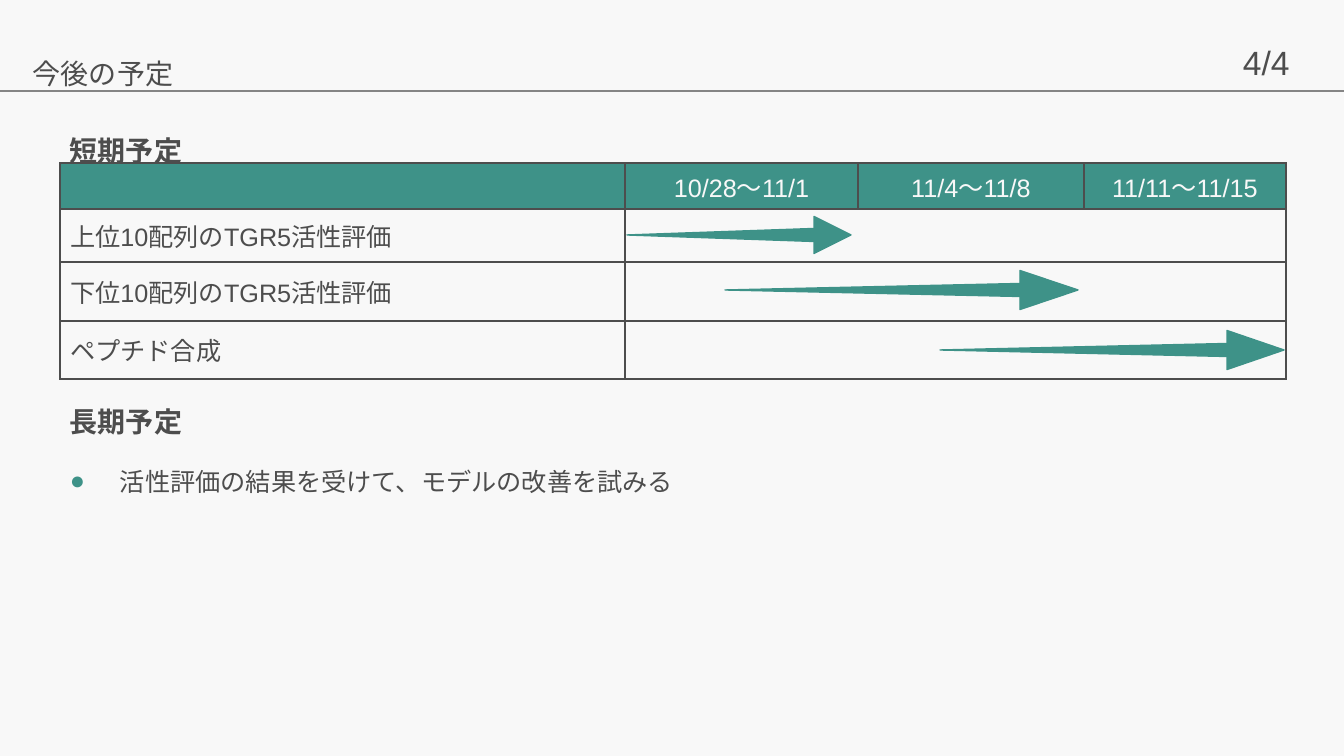
from lxml.etree import SubElement as Sub
from pptx import Presentation
from pptx.dml.color import RGBColor as Rgb
from pptx.enum.lang import MSO_LANGUAGE_ID as Lang
from pptx.enum.shapes import MSO_CONNECTOR as Con, MSO_SHAPE as Kind
from pptx.enum.text import MSO_ANCHOR as Anchor, PP_ALIGN as Align
from pptx.oxml.ns import qn
from pptx.util import Pt

WIDE, HIGH = 1344, 756
SCALE = 12192000 / WIDE
HUES = {"paper": "F8F8F8", "ink": "4D4D4D", "teal": "3E9288", "rule": "858585"}
COLS = [565, 233, 226, 202]
ROWS = [46, 53, 59, 58]
WEEKS = ["", "10/28〜11/1", "11/4〜11/8", "11/11〜11/15"]
TASKS = ["上位10配列のTGR5活性評価", "下位10配列のTGR5活性評価", "ペプチド合成"]
SPANS = [(567, 754, 791, 72, 37), (665, 960, 1018, 127, 39), (880, 1167, 1224, 187, 39)]


def px(num):
    """Turn pixels into EMU."""
    return round(num * SCALE)


def hue(name):
    """Look up a colour."""
    return Rgb.from_string(HUES[name])


def style(para, text, size, tint="ink", bold=False):
    """Fill a paragraph and set its font."""
    para.text = text
    font = para.font
    font.name, font.size, font.bold = "Arial", Pt(size), bold
    font.color.rgb = hue(tint)
    font.language_id = Lang.JAPANESE


def label(slide, box, text, size, bold=False, gap=1.0):
    """Add a text box with one paragraph and return its frame."""
    frame = slide.shapes.add_textbox(*map(px, box)).text_frame
    frame.word_wrap = True
    para = frame.paragraphs[0]
    style(para, text, size, bold=bold)
    para.line_spacing = gap
    return frame


def header(slide, box):
    """Place the title, page number and rule in the top band."""
    left, top, width, height = box
    label(slide, (left + 23, top + 38, 1263, 51), "今後の予定", 20, gap=1.4)
    label(slide, (left + width - 111, top + 37, 90, 50), "4/4", 24)
    base = px(top + height)
    rule = slide.shapes.add_connector(Con.STRAIGHT, px(left), base, px(left + width), base)
    rule.line.color.rgb = hue("rule")
    rule.line.width = Pt(1)
    Sub(rule._element.spPr, qn("a:effectLst"))


def edge(cell, side, shown):
    """Draw or hide one border of a cell."""
    line = Sub(cell._tc.get_or_add_tcPr(), qn(f"a:ln{side}"), w=str(Pt(1)))
    if shown:
        fill = Sub(line, qn("a:solidFill"))
        Sub(fill, qn("a:srgbClr"), val=HUES["ink"])
    else:
        Sub(line, qn("a:noFill"))


def wedge(group, left, right, mid, thick, turn):
    """Add a triangle lying on its side between two x positions."""
    span = right - left
    box = ((left + right - thick) / 2, mid - span / 2, thick, span)
    part = group.shapes.add_shape(Kind.ISOSCELES_TRIANGLE, *map(px, box))
    part.rotation = turn
    part.shadow.inherit = False
    part.fill.solid()
    part.fill.fore_color.rgb = hue("teal")
    part.line.color.rgb = hue("teal")
    part.line.width = Pt(1)


def plan(slide, box):
    """Place the schedule table with its tapered arrows."""
    left, top, width, height = box
    shape = slide.shapes.add_table(len(ROWS), len(COLS), *map(px, box))
    table = shape.table
    table.first_row = table.horz_banding = False
    for col, size in zip(table.columns, COLS):
        col.width = px(size)
    for row, size in zip(table.rows, ROWS):
        row.height = px(size)
    last = len(COLS) - 1
    grid = [WEEKS] + [[task] + [""] * last for task in TASKS]
    for y, texts in enumerate(grid):
        head = y == 0
        for x, text in enumerate(texts):
            cell = table.cell(y, x)
            edge(cell, "L", head or x < 2)
            edge(cell, "R", head or x in (0, last))
            edge(cell, "T", True)
            edge(cell, "B", True)
            cell.fill.solid()
            cell.fill.fore_color.rgb = hue("teal" if head else "paper")
            cell.vertical_anchor = Anchor.MIDDLE
            para = cell.text_frame.paragraphs[0]
            style(para, text, 18, "paper" if head else "ink")
            para.alignment = Align.CENTER if head else Align.LEFT
    for start, neck, tip, mid, thick in SPANS:
        group = slide.shapes.add_group_shape()
        wedge(group, left + neck, left + tip, top + mid, thick, 90)
        wedge(group, left + start, left + neck, top + mid, 13, 270)


def goals(slide, box):
    """Place the long-term heading and its bullet."""
    frame = label(slide, box, "長期予定", 20, True, 1.1)
    frame.paragraphs[0].space_before = Pt(18)
    para = frame.add_paragraph()
    style(para, "活性評価の結果を受けて、モデルの改善を試みる", 18)
    para.line_spacing = 1.1
    para.space_before = Pt(18)
    props = para._p.get_or_add_pPr()
    props.set("marL", str(px(50)))
    props.set("indent", str(px(-50)))
    tint = props.makeelement(qn("a:buClr"), {})
    Sub(tint, qn("a:srgbClr"), val=HUES["teal"])
    face = props.makeelement(qn("a:buFont"), {"typeface": "Arial"})
    mark = props.makeelement(qn("a:buChar"), {"char": "●"})
    font = props.find(qn("a:defRPr"))
    for part in (tint, face, mark):
        font.addprevious(part)


def main():
    """Build and save the slide."""
    deck = Presentation()
    deck.slide_width, deck.slide_height = px(WIDE), px(HIGH)
    slide = deck.slides.add_slide(deck.slide_layouts[6])
    slide.background.fill.solid()
    slide.background.fill.fore_color.rgb = hue("paper")
    header(slide, (0, 0, WIDE, 91))
    label(slide, (60, 115, 1224, 51), "短期予定", 20, True, 1.4)
    plan(slide, (60, 163, sum(COLS), sum(ROWS)))
    goals(slide, (60, 396, 1224, 345))
    deck.save("out.pptx")


if __name__ == "__main__":
    main()
